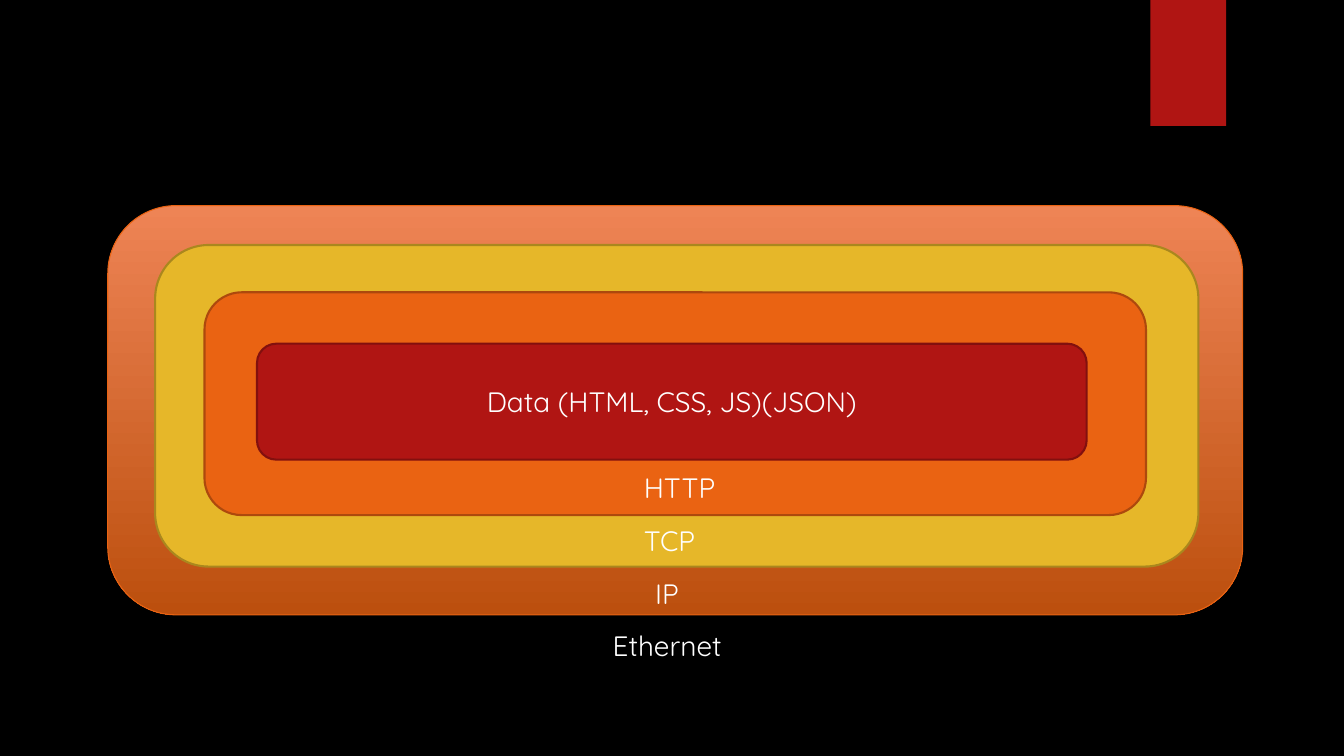
from pptx import Presentation
from pptx.dml.color import RGBColor
from pptx.enum.shapes import MSO_SHAPE
from pptx.enum.text import MSO_ANCHOR, PP_ALIGN
from pptx.util import Pt

RECTANGLE = MSO_SHAPE.RECTANGLE
ROUNDED = MSO_SHAPE.ROUNDED_RECTANGLE
MIDDLE = MSO_ANCHOR.MIDDLE
CENTER = PP_ALIGN.CENTER

FONT = "Quicksand"
WHITE, BLACK, RED = "FFFFFF", "000000", "B01513"
LABEL_HEIGHT = 31.68
LABEL_PITCH = 37.68

LAYERS = [
    ((0, 0, 810.7, 292.3), ("EE8455", "BC4F0E"), "EA6312", 0.75),
    ((33.8, 28.1, 745.2, 229.7), ("E6B729",), "AA871E", 1.5),
    ((69.1, 61.9, 672.5, 159.1), ("EA6312",), "AD490D", 1.5),
    ((106.6, 98.6, 592.6, 82.8), (RED,), "82100E", 1.5),
]
LABELS = [("HTTP", 375.8, 93.6), ("TCP", 375.8, 93.6),
          ("IP", 383.8, 78.5), ("Ethernet", 353.5, 115.9)]


def color(value):
    """Turn a hex string into a colour."""
    return RGBColor.from_string(value)


def paint(shape, fills):
    """Fill a shape with one colour, or with two from top to bottom."""
    if len(fills) == 1:
        shape.fill.solid()
        shape.fill.fore_color.rgb = color(fills[0])
        return
    shape.fill.gradient()
    shape.fill.gradient_angle = 270
    for stop, value in zip(shape.fill.gradient_stops, fills):
        stop.color.rgb = color(value)


def write(shape, text):
    """Write one white line of text in a shape."""
    shape.text_frame.text = text
    font = shape.text_frame.paragraphs[0].runs[0].font
    font.name = FONT
    font.size = Pt(20)
    font.color.rgb = color(WHITE)


def add_ribbon(slide, left, top, width, height):
    """Hang the red ribbon from the top edge."""
    ribbon = slide.shapes.add_shape(RECTANGLE, Pt(left), Pt(top), Pt(width), Pt(height))
    ribbon.shadow.inherit = False
    paint(ribbon, (RED,))
    ribbon.line.fill.background()


def add_layers(slide, left, top):
    """Nest the protocol layers and write the data in the innermost one."""
    for (x, y, width, height), fills, outline, weight in LAYERS:
        layer = slide.shapes.add_shape(
            ROUNDED, Pt(left + x), Pt(top + y), Pt(width), Pt(height))
        layer.shadow.inherit = False
        paint(layer, fills)
        layer.line.color.rgb = color(outline)
        layer.line.width = Pt(weight)
    write(layer, "Data (HTML, CSS, JS)(JSON)")
    layer.text_frame.vertical_anchor = MIDDLE
    layer.text_frame.paragraphs[0].alignment = CENTER


def add_labels(slide, left, top):
    """Stack the protocol names at an equal pitch."""
    for row, (text, x, width) in enumerate(LABELS):
        label = slide.shapes.add_textbox(
            Pt(left + x), Pt(top + row * LABEL_PITCH), Pt(width), Pt(LABEL_HEIGHT))
        label.text_frame.word_wrap = True
        write(label, text)


def main():
    """Build the protocol layers slide."""
    presentation = Presentation()
    presentation.slide_width = Pt(960)
    presentation.slide_height = Pt(540)
    slide = presentation.slides.add_slide(presentation.slide_layouts[6])
    slide.background.fill.solid()
    slide.background.fill.fore_color.rgb = color(BLACK)
    add_ribbon(slide, 821.8, 0, 54, 90)
    add_layers(slide, 77, 146.9)
    add_labels(slide, 77, 332.6)
    presentation.save("out.pptx")


if __name__ == "__main__":
    main()
